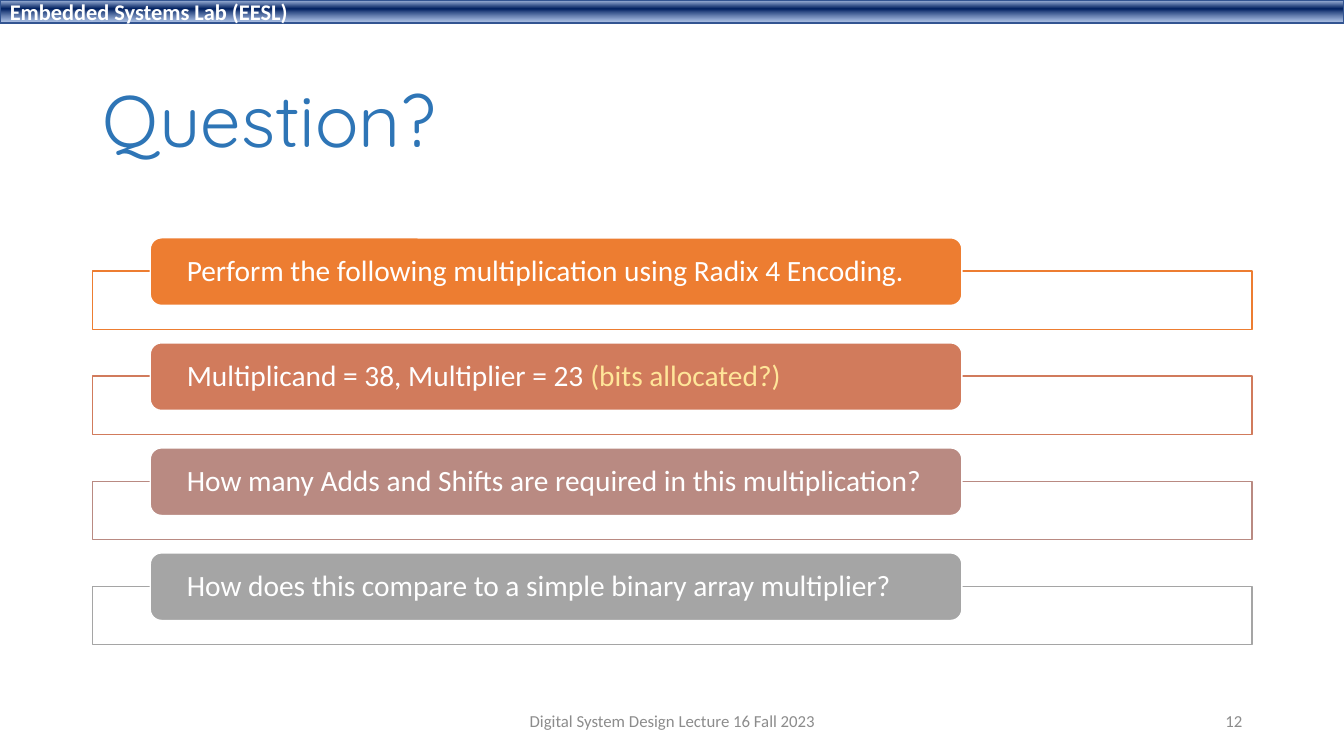
import pptx
import pptx.util
import pptx.dml.color
import pptx.enum.shapes
import pptx.enum.text
import pptx.oxml.ns
from lxml import etree

Inches, Pt = pptx.util.Inches, pptx.util.Pt
RGBColor = pptx.dml.color.RGBColor
MSO_SHAPE = pptx.enum.shapes.MSO_SHAPE
PP_ALIGN = pptx.enum.text.PP_ALIGN
MIDDLE = pptx.enum.text.MSO_ANCHOR.MIDDLE
qn = pptx.oxml.ns.qn

WHITE = RGBColor(0xFF, 0xFF, 0xFF)
YELLOW = RGBColor(0xFF, 0xE6, 0x99)
TITLE_BLUE = RGBColor(0x2E, 0x75, 0xB6)
BANNER_LINE = RGBColor(0x32, 0x54, 0x91)
FOOTER_GRAY = RGBColor(0x8C, 0x8C, 0x8C)

# Content
BANNER = "Embedded Systems Lab (EESL)"
TITLE = "Question?"
QUESTIONS = [
    (RGBColor(0xED, 0x7D, 0x31),
     [("Perform the following multiplication using Radix 4 Encoding.", WHITE)]),
    (RGBColor(0xD1, 0x7B, 0x5C),
     [("Multiplicand = 38, Multiplier = 23 ", WHITE), ("(bits allocated?)", YELLOW)]),
    (RGBColor(0xB9, 0x8A, 0x82),
     [("How many Adds and Shifts are required in this multiplication?", WHITE)]),
    (RGBColor(0xA5, 0xA5, 0xA5),
     [("How does this compare to a simple binary array multiplier?", WHITE)]),
]
FOOTERS = [  # text, left, width, alignment
    ("Digital System Design Lecture 16 Fall 2023", 4.42, 4.5, PP_ALIGN.CENTER),
    ("12", 9.42, 3, PP_ALIGN.RIGHT),
]
BANNER_STOPS = [(2, "ABC0E4", 100), (38, "002060", 100), (93, "7E9ED6", 64)]

# Layout in inches
MARGIN, CONTENT_W = 0.92, 11.5
FIRST_TOP, ROW_STEP = 2.36, 1.042
FRAME_DROP, FRAME_H = 0.33, 0.58
LABEL_LEFT, LABEL_W, LABEL_H = 1.49, 8.05, 0.67


def add_box(slide, kind, left, top, width, height, line):
    sp = slide.shapes.add_shape(kind, Inches(left), Inches(top), Inches(width), Inches(height))
    sp.shadow.inherit = False
    sp.line.color.rgb = line
    sp.line.width = Pt(1)
    return sp


def add_run(p, text, size, color, font="Calibri", bold=False):
    r = p.add_run()
    r.text = text
    r.font.name, r.font.size, r.font.bold = font, Pt(size), bold
    r.font.color.rgb = color


def set_alpha(color_element, percent):
    etree.SubElement(color_element, qn("a:alpha"), val=str(percent * 1000))


def set_gradient(sp, stops):
    sp.fill.gradient()
    sp.fill.gradient_angle = 270
    stop_list = sp.fill._xPr.find(qn("a:gradFill")).find(qn("a:gsLst"))
    for old in list(stop_list):
        stop_list.remove(old)
    for pos, color, alpha in stops:
        stop = etree.SubElement(stop_list, qn("a:gs"), pos=str(pos * 1000))
        set_alpha(etree.SubElement(stop, qn("a:srgbClr"), val=color), alpha)


def add_banner(slide):
    sp = add_box(slide, MSO_SHAPE.RECTANGLE, 0, 0, 13.33, 0.23, BANNER_LINE)
    set_gradient(sp, BANNER_STOPS)
    tf = sp.text_frame
    tf.vertical_anchor = MIDDLE
    tf.paragraphs[0].alignment = PP_ALIGN.LEFT
    add_run(tf.paragraphs[0], BANNER, 16, WHITE, bold=True)


def add_title(slide):
    title = slide.shapes.title
    title.left, title.top = Inches(MARGIN), Inches(0.61)
    title.width, title.height = Inches(CONTENT_W), Inches(1.24)
    tf = title.text_frame
    tf.vertical_anchor = MIDDLE
    p = tf.paragraphs[0]
    p.alignment, p.line_spacing = PP_ALIGN.LEFT, 0.9
    add_run(p, TITLE, 52, TITLE_BLUE, font="Quicksand")


def add_question(slide, top, color, parts):
    # Outlined frame behind the label
    frame = add_box(slide, MSO_SHAPE.RECTANGLE, MARGIN, top + FRAME_DROP,
                    CONTENT_W, FRAME_H, color)
    frame.fill.solid()
    frame.fill.fore_color.rgb = WHITE
    set_alpha(frame._element.spPr.find(qn("a:solidFill"))[0], 90)

    # Rounded label with the question
    label = add_box(slide, MSO_SHAPE.ROUNDED_RECTANGLE, LABEL_LEFT, top,
                    LABEL_W, LABEL_H, WHITE)
    label.fill.solid()
    label.fill.fore_color.rgb = color
    tf = label.text_frame
    tf.word_wrap, tf.vertical_anchor = True, MIDDLE
    tf.margin_left = tf.margin_right = Inches(0.33)
    tf.margin_top = tf.margin_bottom = 0
    p = tf.paragraphs[0]
    p.alignment, p.line_spacing = PP_ALIGN.LEFT, 0.9
    for text, text_color in parts:
        add_run(p, text, 21, text_color)


def add_footer(slide, text, left, width, alignment):
    tb = slide.shapes.add_textbox(Inches(left), Inches(6.95), Inches(width), Inches(0.4))
    tf = tb.text_frame
    tf.word_wrap, tf.vertical_anchor = True, MIDDLE
    p = tf.paragraphs[0]
    p.alignment, p.space_after = alignment, Pt(6)
    add_run(p, text, 12, FOOTER_GRAY)


def main():
    prs = pptx.Presentation()
    prs.slide_width, prs.slide_height = Inches(13.33), Inches(7.5)
    slide = prs.slides.add_slide(prs.slide_layouts.get_by_name("Title Only"))
    add_banner(slide)
    add_title(slide)
    for i, (color, parts) in enumerate(QUESTIONS):
        add_question(slide, FIRST_TOP + i * ROW_STEP, color, parts)
    for footer in FOOTERS:
        add_footer(slide, *footer)
    prs.save("out.pptx")


if __name__ == "__main__":
    main()
